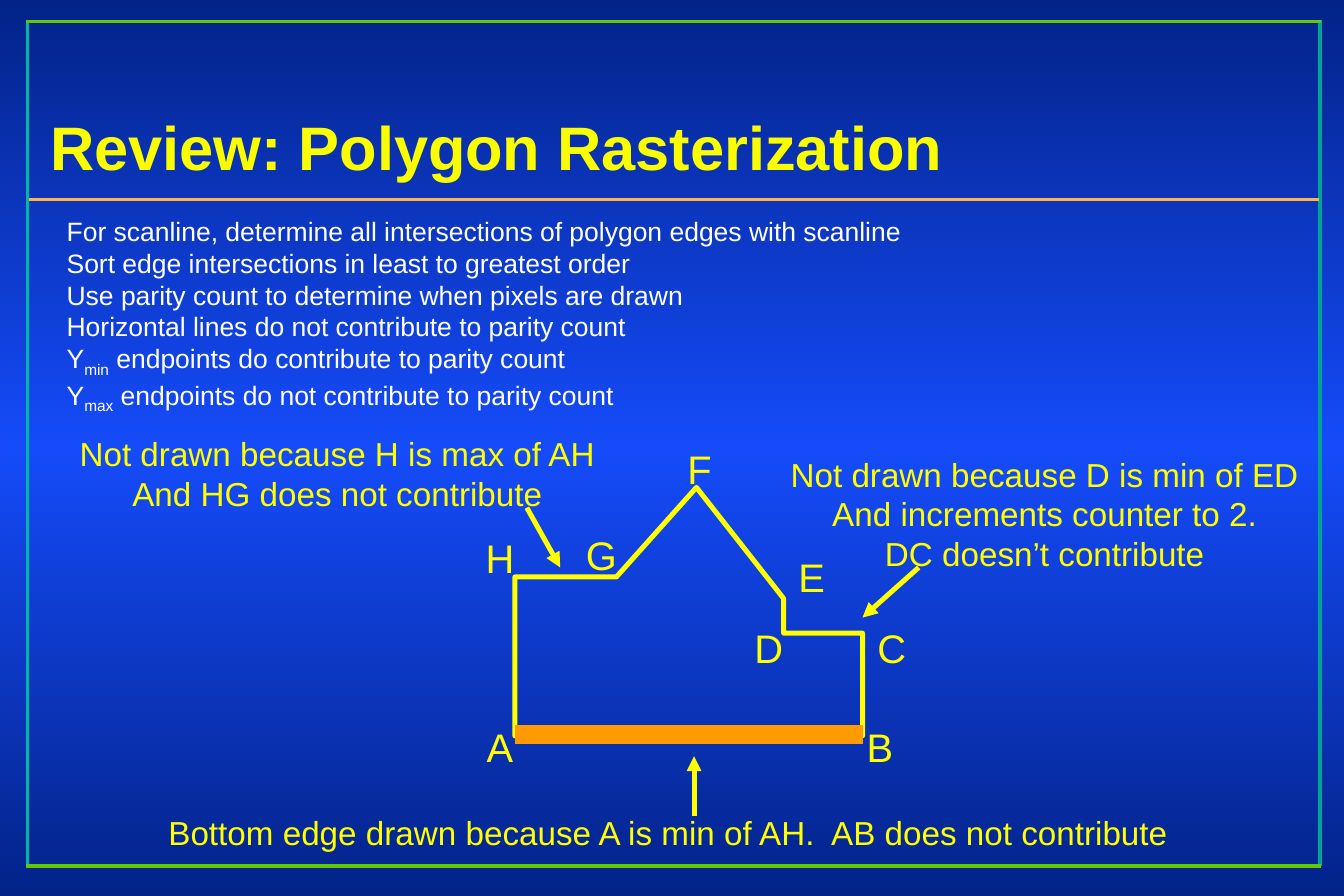
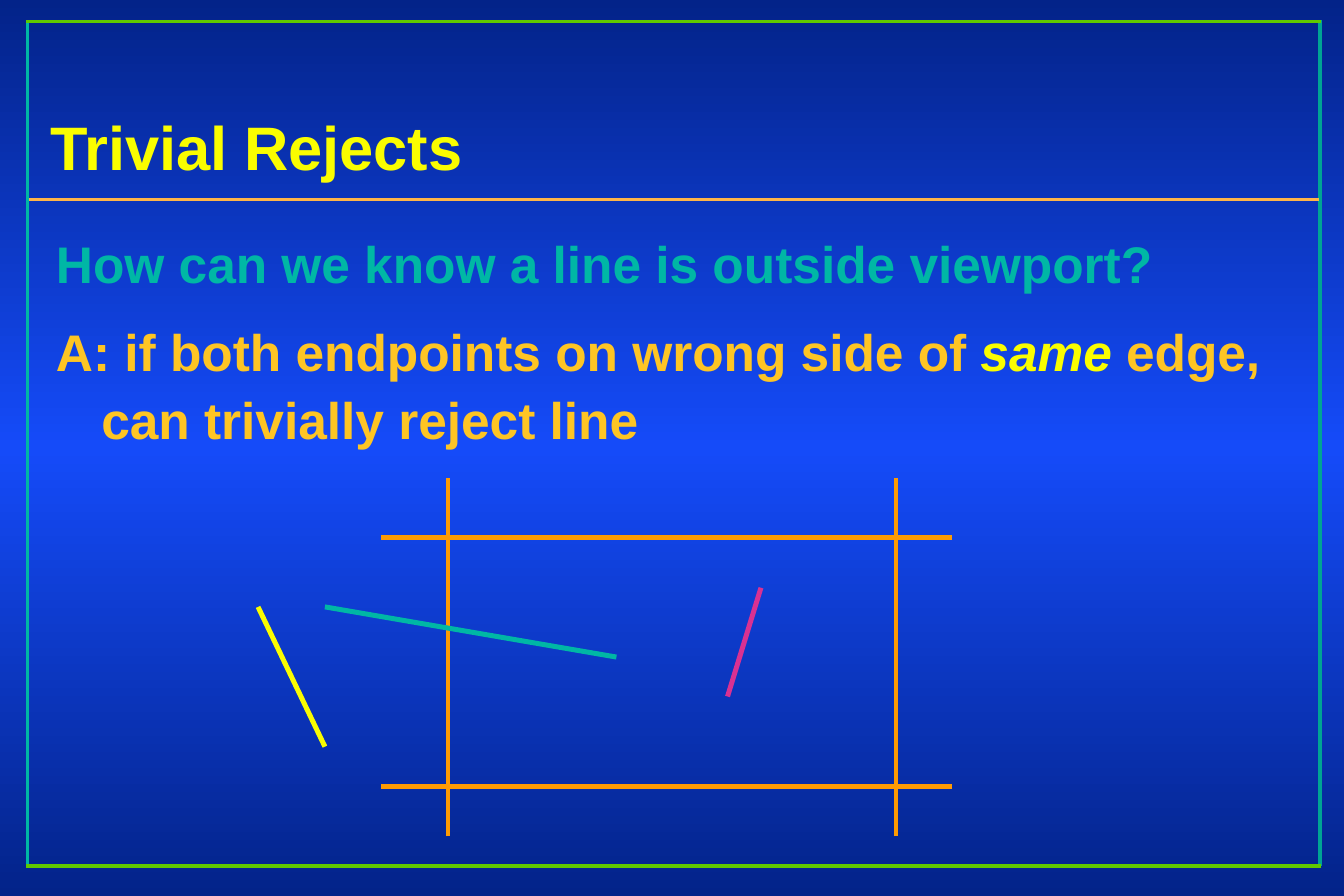
from copy import deepcopy
from lxml.etree import SubElement
from pptx import Presentation
from pptx.dml.color import RGBColor
from pptx.enum.shapes import MSO_CONNECTOR
from pptx.enum.text import MSO_ANCHOR, MSO_AUTO_SIZE, PP_ALIGN
from pptx.oxml import parse_xml
from pptx.oxml.ns import nsdecls, qn
from pptx.util import Inches, Pt

FONT = "Arial"
YELLOW, GOLD, ORANGE = "FFFF00", "FAFD00", "FE9B03"
TEAL, GREEN, AMBER = "00B7A5", "60C900", "FEC524"
WHITE, PINK = "FFFFFF", "D93192"
NAVY, BLUE = "032389", "154BF9"
TITLES = ["Review: Polygon Rasterization", "Trivial Rejects"]
FRAME = [
    (11.05, 0.17, 11.05, 7.25, "00A494"),
    (0.23, 0.17, 0.23, 7.26, TEAL),
    (11.06, 7.25, 0.22, 7.25, GREEN),
    (0.22, 0.18, 11.06, 0.18, GREEN),
    (0.24, 1.67, 11.04, 1.67, "FFB549"),
]


def write(frame, rows, size, color, align=PP_ALIGN.LEFT, bold=False):
    """Fill a text frame; a bar in a row starts a new run."""
    frame.auto_size = MSO_AUTO_SIZE.NONE
    frame.word_wrap = align == PP_ALIGN.LEFT
    for i, row in enumerate(rows):
        para = frame.add_paragraph() if i else frame.paragraphs[0]
        para.alignment = align
        for part in row.split("|"):
            run = para.add_run()
            run.text = part
            run.font.name = FONT
            run.font.size = Pt(size)
            run.font.bold = bold
            run.font.color.rgb = RGBColor.from_string(color)


def link(shapes, ends, color, width=3, arrow=False):
    """Draw a straight line between two points, given in inches."""
    line = shapes.add_connector(MSO_CONNECTOR.STRAIGHT, *map(Inches, ends))
    line.line.color.rgb = RGBColor.from_string(color)
    line.line.width = Pt(width)
    props = line.element.spPr
    if arrow:
        SubElement(props.find(qn("a:ln")), qn("a:tailEnd"), type="triangle")
    SubElement(props, qn("a:effectLst"))


deck = Presentation()
deck.slide_width, deck.slide_height = Inches(11.25), Inches(7.5)

# Shared background: dark, bright, dark
master = deck.slide_master
fill = master.background.fill
fill.gradient()
fill.gradient_angle = 90
for stop in fill.gradient_stops:
    stop.color.rgb = RGBColor.from_string(NAVY)
stops = next(master.element.iter(qn("a:gsLst")))
stops.insert(1, deepcopy(stops[0]))
for stop, place in zip(fill.gradient_stops, (0, 0.5, 1)):
    stop.position = place
fill.gradient_stops[1].color.rgb = RGBColor.from_string(BLUE)

# Shared frame and title
for name in TITLES:
    slide = deck.slides.add_slide(deck.slide_layouts[5])
    for *ends, color in FRAME:
        link(slide.shapes, ends, color, 2)
    title = slide.shapes.title
    title.left, title.top = Inches(0.32), Inches(0.33)
    title.width, title.height = Inches(9.1), Inches(1.25)
    write(title.text_frame, [name], 37, GOLD, bold=True)
    title.text_frame.vertical_anchor = MSO_ANCHOR.BOTTOM
    title.text_frame.paragraphs[0].line_spacing = 1.04

first, second = deck.slides

# Slide 1: polygon with named corners
group = first.shapes.add_group_shape().shapes
points = [(4.31, 6.16), (4.31, 4.83), (5.16, 4.83), (5.83, 4.08),
          (6.56, 5.01), (6.56, 5.3), (7.22, 5.3), (7.22, 6.16)]
points = [(Inches(x), Inches(y)) for x, y in points]
pen = group.build_freeform(*points[0])
pen.add_line_segments(points[1:], close=True)
shape = pen.convert_to_shape()
shape.shadow.inherit = False
shape.fill.background()
shape.line.color.rgb = RGBColor.from_string(YELLOW)
shape.line.width = Pt(3)

corners = [("A", 3.97, 6), ("B", 7.15, 6), ("D", 6.22, 5.17),
           ("C", 7.25, 5.17), ("F", 5.64, 3.67), ("E", 6.58, 4.58),
           ("H", 3.97, 4.42), ("G", 4.82, 4.39)]
for name, x, y in corners:
    box = group.add_textbox(Inches(x), Inches(y), Inches(0.43), Inches(0.5))
    write(box.text_frame, [name], 24, YELLOW, PP_ALIGN.CENTER)

# Slide 1: rules
rules = [
    "For scanline, determine all intersections of polygon edges with scanline",
    "Sort edge intersections in least to greatest order",
    "Use parity count to determine when pixels are drawn",
    "Horizontal lines do not contribute to parity count",
    "Y|min| endpoints do contribute to parity count",
    "Y|max| endpoints do not contribute to parity count",
]
box = first.shapes.add_textbox(
    Inches(0.46), Inches(1.75), Inches(10.07), Inches(1.78))
write(box.text_frame, rules, 16, WHITE)
for para in box.text_frame.paragraphs[4:]:
    para.runs[1].font._element.set("baseline", "-25000")

# Slide 1: bottom edge, remarks and arrows
link(first.shapes, (4.31, 6.15, 7.22, 6.15), ORANGE, 11.5)
remarks = [
    (1.28, 6.75, 8.63, 0.44,
     ["Bottom edge drawn because A is min of AH.  AB does not contribute"]),
    (0.56, 3.58, 4.53, 0.77,
     ["Not drawn because H is max of AH", "And HG does not contribute"]),
    (6.52, 3.75, 4.45, 1.1,
     ["Not drawn because D is min of ED", "And increments counter to 2.",
      "DC doesn’t contribute"]),
]
for *area, rows in remarks:
    box = first.shapes.add_textbox(*map(Inches, area))
    write(box.text_frame, rows, 20, YELLOW, PP_ALIGN.CENTER)
for ends in [(4.41, 4.25, 4.69, 4.75), (7.69, 4.75, 7.22, 5.17),
             (5.81, 6.83, 5.81, 6.33)]:
    link(first.shapes, ends, YELLOW, arrow=True)

# Slide 2: question and answer with shadowed text
box = second.shapes.add_textbox(
    Inches(0.37), Inches(1.84), Inches(10.54), Inches(2))
write(box.text_frame, [
    "How can we know a line is outside viewport?",
    "A: if both endpoints on wrong side of |same| edge, can trivially reject line",
], 31, AMBER, bold=True)
query, reply = box.text_frame.paragraphs
query.runs[0].font.color.rgb = RGBColor.from_string(TEAL)
reply.runs[1].font.color.rgb = RGBColor.from_string(GOLD)
reply.runs[1].font.italic = True
reply.space_before = Pt(6)
for para in (query, reply):
    para.line_spacing = 1.1
    para.space_after = Pt(6)
    props = para._p.get_or_add_pPr()
    props.set("marL", str(Inches(0.38)))
    props.set("indent", str(Inches(-0.38)))
    for run in para.runs:
        shade = parse_xml(
            f'<a:effectLst {nsdecls("a")}><a:outerShdw dist="38100" dir="2700000">'
            '<a:srgbClr val="000000"/></a:outerShdw></a:effectLst>')
        run.font._element.find(qn("a:solidFill")).addnext(shade)

# Slide 2: viewport edges and sample lines
group = second.shapes.add_group_shape().shapes
for y in (4.5, 6.58):
    link(group, (3.19, y, 7.97, y), ORANGE)
for x in (3.75, 7.5):
    link(group, (x, 7, x, 4), ORANGE)
for *ends, color in [(2.16, 5.08, 2.72, 6.25, GOLD),
                     (2.72, 5.08, 5.16, 5.5, TEAL),
                     (6.09, 5.83, 6.37, 4.92, PINK)]:
    link(group, ends, color)

deck.save("out.pptx")
